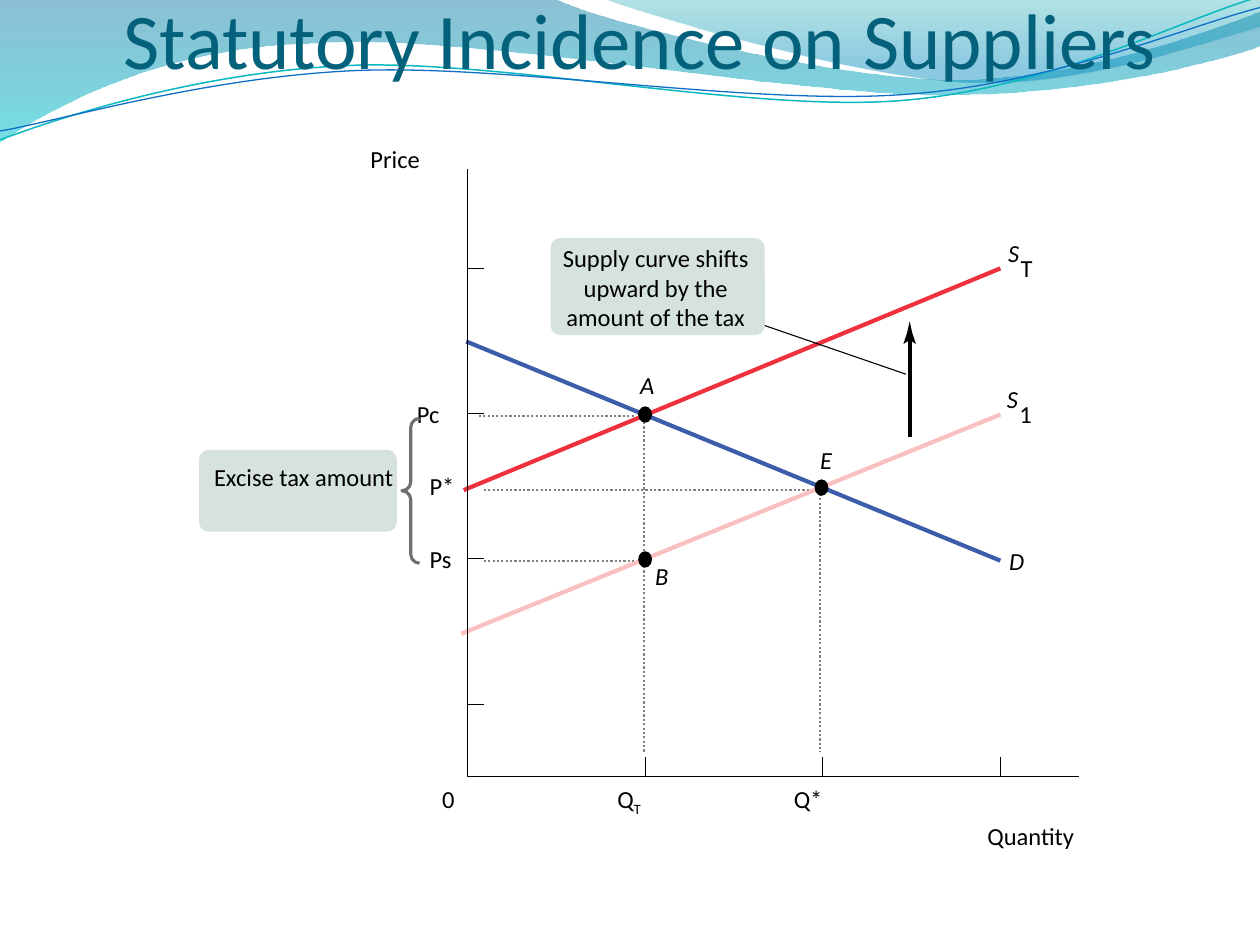
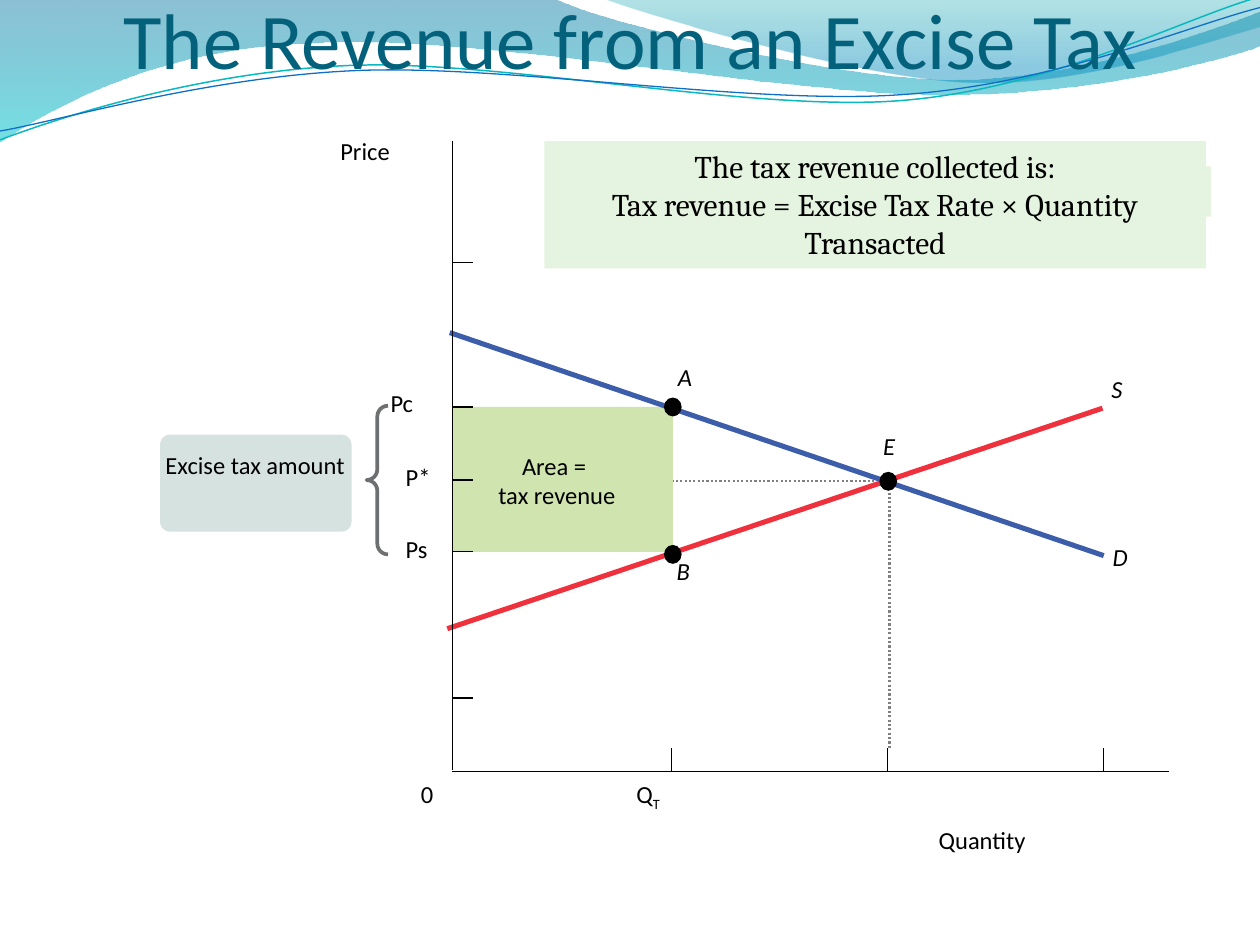
from dataclasses import dataclass
from math import cos, radians, sin
from typing import Any

from lxml import etree
from pptx import Presentation
from pptx.dml.color import RGBColor
from pptx.enum.dml import MSO_LINE
from pptx.enum.shapes import MSO_CONNECTOR, MSO_SHAPE
from pptx.enum.text import MSO_ANCHOR, MSO_AUTO_SIZE, PP_ALIGN
from pptx.oxml.ns import qn
from pptx.util import Inches, Pt

STRAIGHT = MSO_CONNECTOR.STRAIGHT
RECT, OVAL = MSO_SHAPE.RECTANGLE, MSO_SHAPE.OVAL
ROUNDED, BRACE = MSO_SHAPE.ROUNDED_RECTANGLE, MSO_SHAPE.LEFT_BRACE
DOTTED = MSO_LINE.ROUND_DOT
TOP, BOTTOM = MSO_ANCHOR.TOP, MSO_ANCHOR.BOTTOM
LEFT, CENTER = PP_ALIGN.LEFT, PP_ALIGN.CENTER
GROW, FIXED = MSO_AUTO_SIZE.SHAPE_TO_FIT_TEXT, MSO_AUTO_SIZE.NONE

BLACK, TITLE, GUIDE, BRACKET = "000000", "04617B", "808080", "6D6F71"
DEMAND, SUPPLY, OLD_SUPPLY = "3C5DAA", "EE313C", "FAC0BF"
CALLOUT, REVENUE, FORMULA = "D6E2E0", "CFE4AE", "E5F4E0"
FONT, FORMULA_FONT = "Calibri", "Cambria"
HAIRLINE = 0.63
WAVE_TILT = -2.7

# Outlines: a start point, then lines (x, y) and Bezier curves (six numbers).
BAND_LEFT = [(0, 0), (4.4, -0.01),
             (4.76, 0.17, 6.64, 0.63, 7.58, 0.63),
             (8.53, 0.63, 9.58, 0.26, 10, 0.09), (10.01, 0.36),
             (9.83, 0.44, 8.7, 0.76, 7.46, 0.75),
             (6.22, 0.75, 3.82, 0.28, 2.57, 0.34),
             (1.29, 0.36, 0.46, 0.83, -0.01, 1.13), (0, 0)]
BAND_RIGHT = [(4.79, -0.01), (5.09, 0.11, 6.82, 0.62, 7.69, 0.65),
              (8.56, 0.69, 9.61, 0.32, 10, 0.21), (10, 0), (4.79, -0.01)]
WAVE_TEAL = [(0, 1.11), (0.48, 0.93, 1.58, 0.57, 2.77, 0.52),
             (3.95, 0.47, 5.93, 0.89, 7.13, 0.8),
             (8.33, 0.71, 9.38, 0.15, 9.98, -0.02)]
WAVE_BLUE = [(0, 1.04), (0.47, 0.96, 1.64, 0.61, 2.83, 0.56),
             (4.03, 0.51, 5.97, 0.84, 7.17, 0.75),
             (8.36, 0.67, 9.41, 0.21, 10, 0.06)]


def rgb(color):
    """Turn a hex string into a colour."""
    return RGBColor.from_string(color)


def pairs(part):
    """Split a part of an outline into its points."""
    return list(zip(part[::2], part[1::2]))


def turn(outline, degrees, center):
    """Rotate an outline about a centre."""
    c, s = cos(radians(degrees)), sin(radians(degrees))
    cx, cy = center
    return [tuple(v for x, y in pairs(part)
                  for v in (cx + (x - cx) * c - (y - cy) * s,
                            cy + (x - cx) * s + (y - cy) * c))
            for part in outline]


@dataclass
class Panel:
    """Part of a slide; all positions are offsets in inches from its corner."""
    slide: Any
    left: float = 0
    top: float = 0

    def at(self, x, y):
        """Slide position of a point in the panel."""
        return Inches(self.left + x), Inches(self.top + y)

    def line(self, start, end, color=BLACK, width=HAIRLINE, dash=None):
        """Draw a straight line."""
        c = self.slide.shapes.add_connector(STRAIGHT, *self.at(*start), *self.at(*end))
        c.line.color.rgb, c.line.width = rgb(color), Pt(width)
        if dash:
            c.line.dash_style = dash
        etree.SubElement(c._element.spPr, qn("a:effectLst"))

    def outline(self, parts, closed=False):
        """Draw a freeform of lines and Bezier curves."""
        ends = [self.at(*part[-2:]) for part in parts]
        builder = self.slide.shapes.build_freeform(*ends[0], scale=1.0)
        builder.add_line_segments(ends[1:], close=closed)
        sp = builder.convert_to_shape()
        sp.shadow.inherit = False
        segments = list(sp._element.iter(qn("a:lnTo")))
        for segment, part in zip(segments, parts[1:]):
            if len(part) == 2:
                continue
            segment.tag = qn("a:cubicBezTo")
            segment.remove(segment[0])
            for point in pairs(part):
                x, y = self.at(*point)
                pt = etree.SubElement(segment, qn("a:pt"))
                pt.set("x", str(x - sp.left))
                pt.set("y", str(y - sp.top))
        return sp

    def stroke(self, parts, color, width):
        """Draw an open, unfilled freeform."""
        sp = self.outline(parts)
        sp.fill.background()
        sp.line.color.rgb, sp.line.width = rgb(color), Pt(width)
        return sp

    def shape(self, kind, box, color):
        """Draw a preset shape with a plain fill and no line."""
        x, y, w, h = box
        sp = self.slide.shapes.add_shape(kind, *self.at(x, y), Inches(w), Inches(h))
        sp.shadow.inherit = False
        sp.fill.solid()
        sp.fill.fore_color.rgb = rgb(color)
        sp.line.fill.background()
        return sp

    def text(self, words, box, align=LEFT, wrap=True, italic=None):
        """Place text in a box without margins."""
        x, y, w, h = box
        sp = self.slide.shapes.add_textbox(*self.at(x, y), Inches(w), Inches(h))
        tf = sp.text_frame
        tf.margin_left = tf.margin_right = tf.margin_top = tf.margin_bottom = 0
        tf.word_wrap, tf.auto_size = wrap, GROW
        tf.text = words
        style(tf, align=align, italic=italic)
        return tf

    def label(self, words, x, y, italic=None):
        """Place a short label that does not wrap."""
        return self.text(words, (x, y, 0.12 * len(words), 0.24), LEFT, False, italic)


def style(tf, size=14, color=BLACK, font=FONT, align=LEFT, italic=None):
    """Format all the text of a frame."""
    for p in tf.paragraphs:
        p.alignment = align
        for r in p.runs:
            f = r.font
            f.size, f.name, f.italic = Pt(size), font, italic
            f.color.rgb = rgb(color)


def band(panel, outline, stops):
    """Draw a translucent band; stops are (position, colour, opacity %)."""
    sp = panel.outline(outline, closed=True)
    sp.line.fill.background()
    sp.fill.gradient()
    sp.fill.gradient_angle = 270
    for stop, (position, color, _) in zip(sp.fill.gradient_stops, stops):
        stop.position, stop.color.rgb = position, rgb(color)
    clrs = sp._element.spPr.findall(".//" + qn("a:srgbClr"))
    for clr, (_, _, opacity) in zip(clrs, stops):
        etree.SubElement(clr, qn("a:alpha")).set("val", str(opacity * 1000))


def wave(panel, outline, color, width):
    """Draw a thin wave as a level curve that is then tilted."""
    level = turn(outline, -WAVE_TILT, (4.99, 0.58))
    panel.stroke(level, color, width).rotation = WAVE_TILT


def header(slide, title):
    """Draw the waves along the top and the title over them."""
    panel = Panel(slide)
    band(panel, BAND_LEFT, [(0, "0074A1", 45), (1, "00C6CF", 55)])
    band(panel, BAND_RIGHT, [(0, "00A1A9", 30), (0.8, "008BBF", 45)])
    wave(panel, WAVE_TEAL, "0AB8BF", 0.85)
    wave(panel, WAVE_BLUE, "0F6FC6", 0.75)
    tf = panel.text(title, (0.98, 0.07, 8.74, 0.61))
    tf.auto_size = FIXED
    tf.vertical_anchor, tf.margin_top = BOTTOM, Inches(0.05)
    style(tf, 45, TITLE)


def ticks(panel, height, x_ticks, y_ticks, x_length, y_length):
    """Draw the inward ticks of both axes."""
    for y in y_ticks:
        panel.line((0, y), (y_length, y))
    for x in x_ticks:
        panel.line((x, height - x_length), (x, height))


def guides(panel, lines):
    """Draw dotted guide lines."""
    for start, end in lines:
        panel.line(start, end, GUIDE, 1.25, DOTTED)


def labels(panel, plain, italic):
    """Place the upright and the italic labels."""
    for item in plain:
        panel.label(*item)
    for item in italic:
        panel.label(*item, italic=True)


def quantity_t(panel, x, y):
    """Label the taxed quantity, with a subscript T."""
    tf = panel.label("QT", x, y)
    p = tf.paragraphs[0]
    p.runs[0].text = "Q"
    r = p.add_run()
    r.text = "T"
    style(tf)
    r.font._element.set("baseline", "-25000")


def dots(panel, centers, w, h):
    """Mark points on the curves."""
    for x, y in centers:
        panel.shape(OVAL, (x - w / 2, y - h / 2, w, h), BLACK)


def callout(panel, box, words, text_box):
    """Draw a rounded box with centred text."""
    sp = panel.shape(ROUNDED, box, CALLOUT)
    sp.adjustments[0] = 0.08 / box[3]
    panel.text(words, text_box, CENTER)


def brace(panel, box, width):
    """Draw the brace that spans the tax."""
    sp = panel.shape(BRACE, box, BRACKET)
    sp.fill.background()
    sp.line.color.rgb, sp.line.width = rgb(BRACKET), Pt(width)
    sp.adjustments[0] = 0.5


def shift_arrow(panel, x, bottom, tip):
    """Draw the upward arrow with a notched head."""
    panel.line((x, bottom), (x, tip + 0.13), BLACK, 2.38)
    head = panel.outline([(x, tip + 0.15), (x - 0.05, tip + 0.18),
                          (x - 0.02, tip + 0.09), (x, tip),
                          (x + 0.02, tip + 0.09), (x + 0.05, tip + 0.18)], True)
    head.fill.solid()
    head.fill.fore_color.rgb = rgb(BLACK)
    head.line.fill.background()


def suppliers_chart(panel):
    """Draw the supply curve shifted up by the tax."""
    guides(panel, [((2.8, 2.58), (2.8, 4.63)), ((0.13, 2.55), (2.73, 2.55)),
                   ((1.4, 1.94), (1.4, 4.63)), ((0.13, 3.11), (1.37, 3.11)),
                   ((0.09, 1.96), (1.33, 1.96))])
    ticks(panel, 4.82, [1.41 * i for i in (1, 2, 3)],
          [0.79 + 1.153 * i for i in range(4)], 0.15, 0.13)
    labels(panel,
           [("1", 4.38, 1.83), ("T", 4.39, 0.67), ("0", -0.2, 4.88),
            ("Q*", 2.59, 4.88), ("Pc", -0.4, 1.83), ("P*", -0.3, 2.4),
            ("Ps", -0.3, 2.98)],
           [("S", 4.28, 1.71), ("S", 4.29, 0.55), ("A", 1.37, 1.6),
            ("B", 1.49, 3.11), ("D", 4.3, 2.99), ("E", 2.8, 2.19)])
    quantity_t(panel, 1.19, 4.88)
    panel.text("Quantity", (3.88, 5.18, 1.18, 0.24), CENTER)
    panel.text("Price", (-0.77, -0.2, 1.19, 0.19))
    shift_arrow(panel, 3.51, 2.13, 1.21)
    brace(panel, (-0.52, 1.98, 0.14, 1.15), 1.75)
    callout(panel, (-2.13, 2.23, 1.57, 0.65), "Excise tax amount",
            (-2.07, 2.33, 1.54, 0.47))
    panel.line((-0.01, 1.37), (4.23, 3.11), DEMAND, 2.38)
    panel.line((4.23, 1.95), (-0.05, 3.69), OLD_SUPPLY, 2.38)
    panel.line((4.23, 0.79), (-0.03, 2.55), SUPPLY, 2.38)
    dots(panel, [(1.41, 3.1), (1.41, 1.95), (2.81, 2.53)], 0.11, 0.13)
    panel.line((2.29, 1.22), (3.48, 1.63))
    callout(panel, (0.66, 0.55, 1.7, 0.77),
            "Supply curve shifts upward by the amount of the tax",
            (0.61, 0.59, 1.77, 0.71))
    panel.stroke([(4.85, 4.82), (0, 4.82), (0, 0)], BLACK, HAIRLINE)


def formula(panel):
    """Draw the tax revenue formula on its pale plate."""
    tf = panel.shape(RECT, (0.73, 0, 5.25, 1.01), FORMULA).text_frame
    tf.word_wrap, tf.auto_size, tf.vertical_anchor = True, GROW, TOP
    tf.text = ("The tax revenue collected is:\n"
               "Tax revenue = Excise Tax Rate × Quantity Transacted")
    style(tf, 18, font=FORMULA_FONT, align=CENTER)


def revenue_chart(panel):
    """Draw the market with the tax revenue as a shaded area."""
    panel.shape(RECT, (0.77, 0.2, 5.25, 0.4), FORMULA)
    guides(panel, [((0.18, 2.7), (3.35, 2.7)), ((3.47, 2.72), (3.47, 4.82))])
    panel.shape(RECT, (0, 2.11, 1.75, 1.15), REVENUE)
    ticks(panel, 5, [1.74 + 1.715 * i for i in range(3)],
          [0.96, 2.11, 2.69, 3.26, 4.42], 0.18, 0.16)
    labels(panel,
           [("0", -0.25, 5.06), ("Pc", -0.49, 1.96), ("P*", -0.37, 2.55),
            ("Ps", -0.37, 3.12)],
           [("S", 5.23, 1.85), ("B", 1.78, 3.29), ("D", 5.24, 3.18),
            ("E", 3.42, 2.3), ("A", 1.79, 1.75)])
    quantity_t(panel, 1.46, 5.06)
    panel.text("Quantity", (3.84, 5.43, 0.73, 0.24), CENTER, False)
    panel.line((5.69, 5), (0, 5))
    panel.text("Area = \vtax revenue", (0.12, 2.46, 1.42, 0.47), CENTER)
    callout(panel, (-2.32, 2.33, 1.52, 0.77), "Excise tax amount",
            (-2.33, 2.45, 1.53, 0.47))
    panel.line((-0.02, 1.52), (5.17, 3.29), DEMAND, 2.88)
    panel.line((5.16, 2.12), (-0.04, 3.87), SUPPLY, 2.88)
    dots(panel, [(1.75, 2.11), (1.75, 3.28), (3.46, 2.7)], 0.14, 0.15)
    panel.line((0, 4.99), (0, 0))
    panel.text("Price ", (-1.29, -0.04, 1.24, 0.24), CENTER)
    formula(panel)
    brace(panel, (-0.68, 2.1, 0.17, 1.18), 2.13)


prs = Presentation()
prs.slide_width, prs.slide_height = Inches(10), Inches(7.5)
for title, chart, corner in (
        ("Statutory Incidence on Suppliers", suppliers_chart, (3.71, 1.34)),
        ("The Revenue from an Excise Tax", revenue_chart, (3.59, 1.12))):
    s = prs.slides.add_slide(prs.slide_layouts[6])
    header(s, title)
    chart(Panel(s, *corner))
prs.save("out.pptx")
